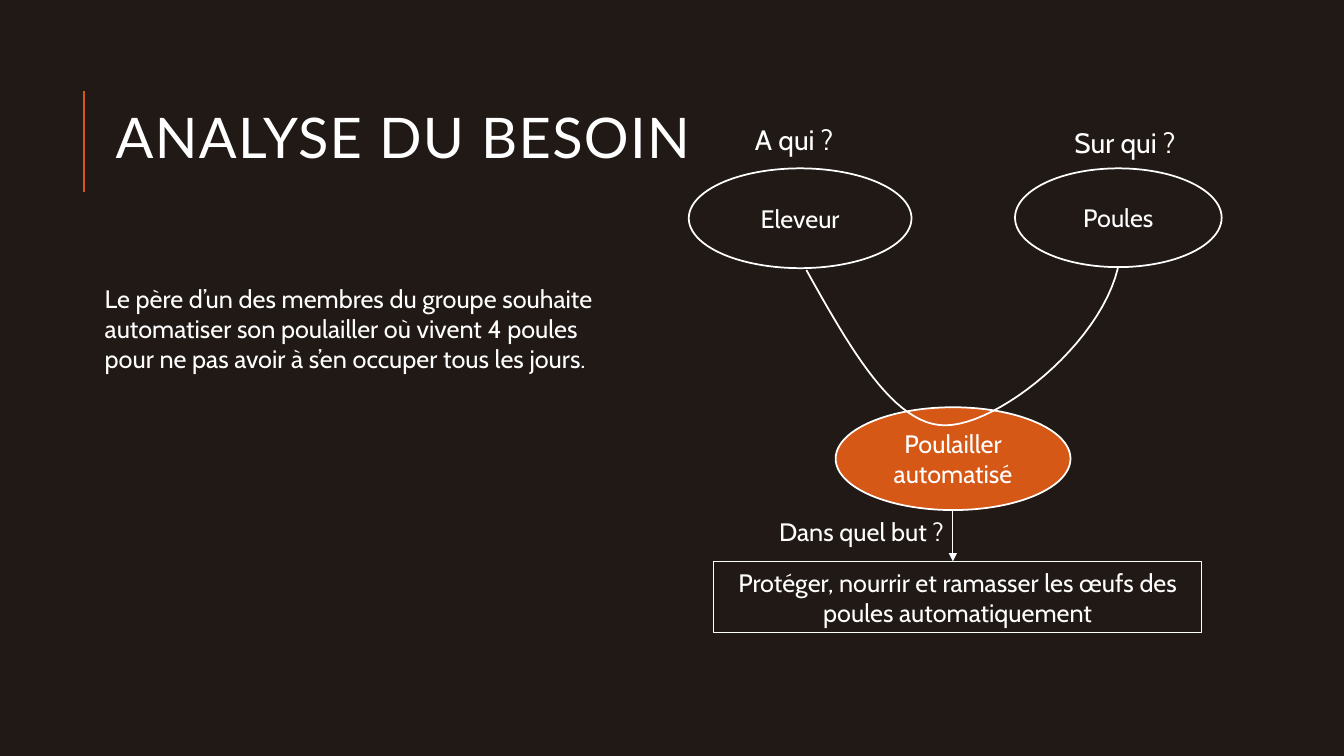
from lxml.etree import SubElement
from pptx import Presentation
from pptx.dml.color import RGBColor
from pptx.enum.shapes import MSO_CONNECTOR as Link, MSO_SHAPE as Preset
from pptx.enum.text import MSO_ANCHOR as Anchor, PP_ALIGN as Align
from pptx.oxml.ns import qn
from pptx.util import Inches, Pt

DARK = RGBColor(0x21, 0x19, 0x15)
ORANGE = RGBColor(0xD5, 0x58, 0x16)
WHITE = RGBColor(0xFF, 0xFF, 0xFF)
COLUMNS, ROWS = 40, 30


class Board:
    body_font = "Cabin"
    title_font = "Lato"

    def __init__(self, deck):
        self.column = deck.slide_width / COLUMNS
        self.row = deck.slide_height / ROWS
        self.page = deck.slides.add_slide(deck.slide_layouts[6])
        self.page.background.fill.solid()
        self.page.background.fill.fore_color.rgb = DARK

    def point(self, column, row):
        return round(column * self.column), round(row * self.row)

    def area(self, left, top, width, height):
        return *self.point(left, top), *self.point(width, height)

    def outline(self, shape, color, weight):
        shape.line.color.rgb = color
        shape.line.width = Pt(weight)

    def set_text(self, box, text, size=18, font=body_font, align=Align.LEFT, anchor=Anchor.TOP):
        frame = box.text_frame
        frame.word_wrap = True
        frame.vertical_anchor = anchor
        para = frame.paragraphs[0]
        para.text = text
        para.alignment = align
        para.font.size = Pt(size)
        para.font.name = font
        para.font.color.rgb = WHITE
        return para

    def label(self, text, area, **style):
        box = self.page.shapes.add_textbox(*self.area(*area))
        return self.set_text(box, text, **style)

    def title(self, text, area):
        para = self.label(text, area, size=40, font=self.title_font, anchor=Anchor.MIDDLE)
        para.line_spacing = 0.8
        for span in para.runs:
            span._r.get_or_add_rPr().set("spc", "100")

    def node(self, text, area, preset=Preset.OVAL, fill=DARK, weight=1.25):
        shape = self.page.shapes.add_shape(preset, *self.area(*area))
        shape.shadow.inherit = False
        shape.fill.solid()
        shape.fill.fore_color.rgb = fill
        self.outline(shape, WHITE, weight)
        self.set_text(shape, text, align=Align.CENTER, anchor=Anchor.MIDDLE)

    def line(self, start, end, color, weight, arrow=False):
        link = self.page.shapes.add_connector(
            Link.STRAIGHT, *self.point(*start), *self.point(*end))
        self.outline(link, color, weight)
        if arrow:
            SubElement(link.line._get_or_add_ln(), qn("a:tailEnd"), type="triangle")
        SubElement(link._element.spPr, qn("a:effectLst"))

    def curve(self, anchors, steps=24):
        points = [self.point(*anchors[0])]
        for first in range(0, len(anchors) - 1, 3):
            a, b, c, d = anchors[first:first + 4]
            for step in range(1, steps + 1):
                t = step / steps
                u = 1 - t
                points.append(self.point(*(
                    u**3 * a[i] + 3 * u * u * t * b[i] + 3 * u * t * t * c[i] + t**3 * d[i]
                    for i in (0, 1))))
        builder = self.page.shapes.build_freeform(*points[0])
        builder.add_line_segments(points[1:], close=False)
        shape = builder.convert_to_shape()
        shape.shadow.inherit = False
        shape.fill.background()
        self.outline(shape, WHITE, 1.25)


deck = Presentation()
deck.slide_width, deck.slide_height = Inches(13.33), Inches(7.5)
board = Board(deck)

board.line((2.5, 7.6), (2.5, 3.6), ORANGE, 1.5)
board.title("ANALYSE DU BESOIN", (3.15, 2.76, 23.34, 5.8))
board.label(
    "Le père d’un des membres du groupe souhaite automatiser son poulailler "
    "où vivent 4 poules pour ne pas avoir à s’en occuper tous les jours.",
    (2.82, 11.04, 15.87, 4.04))

board.node("Eleveur", (20.5, 6.68, 6.63, 3.96))
board.node("Poules", (30.21, 6.68, 6.15, 3.92))
board.node("Poulailler automatisé", (24.87, 16.16, 6.99, 4.08), fill=ORANGE)
board.node("Protéger, nourrir et ramasser les œufs des poules automatiquement",
           (21.24, 22.28, 14.52, 2.84), preset=Preset.RECTANGLE, weight=0.75)

board.line((28.36, 20.24), (28.36, 22.28), WHITE, 0.75, arrow=True)
board.curve([(24, 10.72), (25.29, 13.8), (26.61, 16.92), (28.14, 16.88),
             (29.7, 16.88), (32.73, 13.68), (33.27, 10.64)])

board.label("A qui ?", (22.17, 4.68, 5.4, 1.76), size=20)
board.label("Sur qui ?", (31.68, 4.8, 5.01, 1.76), size=20)
board.label("Dans quel but ?", (22.89, 20.28, 6.78, 1.6))

deck.save("out.pptx")
